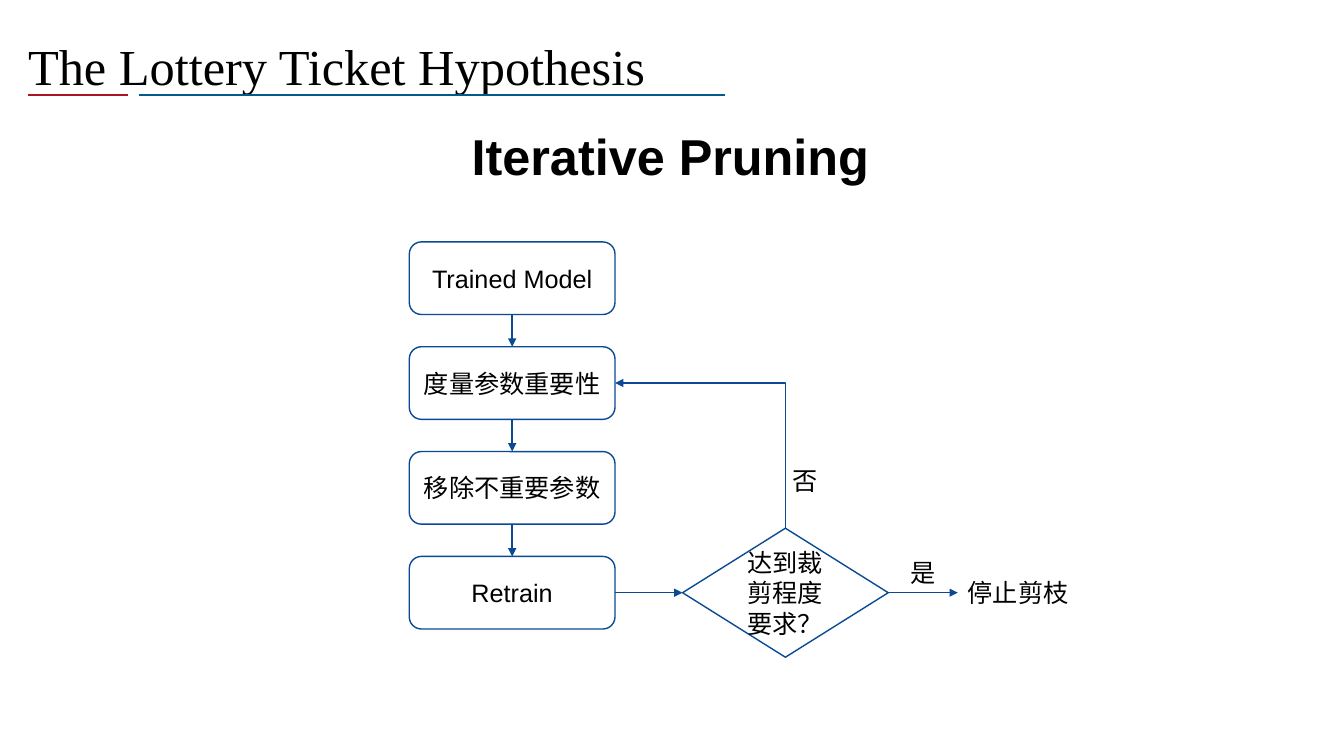
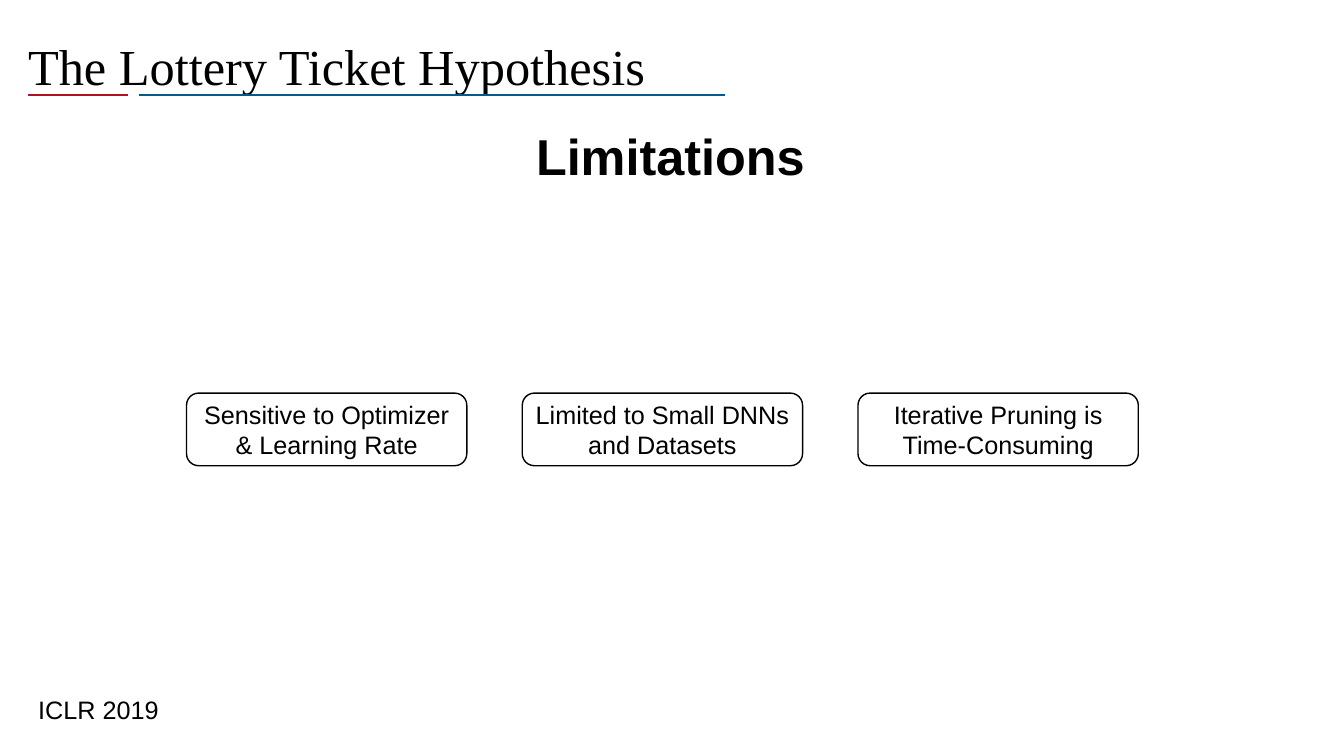
from dataclasses import dataclass

from lxml import etree
from pptx import Presentation
from pptx import util as u
from pptx.dml import color
from pptx.enum import shapes, text
from pptx.oxml import ns

BLACK = "000000"
WHITE = "FFFFFF"
RED = "AE1324"
BLUE = "045A88"
NAVY = "0C4994"
SERIF = "Times New Roman"
SANS = "Arial"
LEFT = text.PP_ALIGN.LEFT
CENTER = text.PP_ALIGN.CENTER
TOP = text.MSO_ANCHOR.TOP
MIDDLE = text.MSO_ANCHOR.MIDDLE
ROUND = shapes.MSO_SHAPE.ROUNDED_RECTANGLE
DIAMOND = shapes.MSO_SHAPE.DIAMOND
LINE = shapes.MSO_CONNECTOR.STRAIGHT
ELBOW = shapes.MSO_CONNECTOR.ELBOW


@dataclass(frozen=True)
class Area:
    x: float
    y: float
    w: float
    h: float

    def lengths(self) -> list:
        return [u.Inches(v) for v in (self.x, self.y, self.w, self.h)]

    def side(self, index: int) -> tuple:
        mid, half = self.x + self.w / 2, self.y + self.h / 2
        return ((mid, self.y), (self.x, half),
                (mid, self.y + self.h), (self.x + self.w, half))[index]


@dataclass(frozen=True)
class Node:
    area: Area
    shape: object


@dataclass(frozen=True)
class Rule:
    start: float
    end: float
    tint: str


RULES = (Rule(0.28, 1.27, RED), Rule(1.38, 7.19, BLUE))
STEPS = ("Trained Model", "度量参数重要性", "移除不重要参数", "Retrain")
LIMITS = ("Sensitive to Optimizer & Learning Rate",
          "Limited to Small DNNs and Datasets",
          "Iterative Pruning is Time-Consuming")


def rgb(tint: str) -> color.RGBColor:
    return color.RGBColor.from_string(tint)


def write(shape, words: str, *, size=18, font=SANS, bold=False, align=LEFT,
          anchor=TOP, wrap=True, spacing=1.0, inset=None) -> None:
    frame = shape.text_frame
    frame.word_wrap = wrap
    frame.vertical_anchor = anchor
    if inset is not None:
        frame.margin_left = frame.margin_right = u.Inches(inset)
        frame.margin_top = frame.margin_bottom = u.Inches(inset)
    para = frame.paragraphs[0]
    para.alignment = align
    para.line_spacing = spacing
    run = para.add_run()
    run.text = words
    run.font.size = u.Pt(size)
    run.font.name = font
    run.font.bold = bold
    run.font.color.rgb = rgb(BLACK)


def label(slide, words: str, area: Area, **style) -> Node:
    shape = slide.shapes.add_textbox(*area.lengths())
    write(shape, words, **style)
    return Node(area, shape)


def box(slide, words: str, area: Area, tint: str, kind=ROUND) -> Node:
    shape = slide.shapes.add_shape(kind, *area.lengths())
    shape.shadow.inherit = False
    shape.fill.solid()
    shape.fill.fore_color.rgb = rgb(WHITE)
    shape.line.color.rgb = rgb(tint)
    shape.line.width = u.Pt(1)
    write(shape, words, align=CENTER, anchor=MIDDLE, inset=0.05)
    return Node(area, shape)


def stroke(slide, start: tuple, end: tuple, tint: str, width: float,
           kind=LINE, tip=None):
    line = slide.shapes.add_connector(
        kind, *[u.Inches(v) for v in (*start, *end)])
    line.line.color.rgb = rgb(tint)
    line.line.width = u.Pt(width)
    props = line.element.spPr
    if tip:
        outline = props.find(ns.qn("a:ln"))
        etree.SubElement(outline, ns.qn("a:" + tip), type="triangle")
    etree.SubElement(props, ns.qn("a:effectLst"))
    return line


def join(slide, first: Node, out: int, last: Node, into: int,
         kind=LINE, tip="tailEnd"):
    line = stroke(slide, first.area.side(out), last.area.side(into),
                  NAVY, 1, kind, tip)
    line.begin_connect(first.shape, out)
    line.end_connect(last.shape, into)
    return line


def page(deck, heading: str):
    slide = deck.slides.add_slide(deck.slide_layouts[6])
    label(slide, "The Lottery Ticket Hypothesis", Area(0.18, -0.04, 11.5, 1.45),
          size=36, font=SERIF, anchor=MIDDLE, spacing=0.9)
    for rule in RULES:
        stroke(slide, (rule.start, 0.94), (rule.end, 0.94), rule.tint, 1.5)
    label(slide, heading, Area(0.65, 1.19, 12, 0.71),
          size=36, bold=True, align=CENTER)
    return slide


def pruning(deck) -> None:
    slide = page(deck, "Iterative Pruning")
    steps = [box(slide, words, Area(4.06, 2.4 + 1.04 * i, 2.04, 0.72), NAVY)
             for i, words in enumerate(STEPS)]
    test = box(slide, "达到裁剪程度要求？", Area(6.77, 5.24, 2.04, 1.28),
               NAVY, DIAMOND)
    stop = label(slide, "停止剪枝", Area(9.5, 5.68, 1.21, 0.4), wrap=False)
    for above, below in zip(steps, steps[1:]):
        join(slide, above, 2, below, 0)
    join(slide, steps[-1], 3, test, 1)
    join(slide, test, 3, stop, 1)
    loop = join(slide, steps[1], 3, test, 0, ELBOW, "headEnd")
    loop.element.spPr.find(ns.qn("a:prstGeom")).set("prst", "bentConnector2")
    label(slide, "是", Area(8.93, 5.48, 0.45, 0.4), wrap=False)
    label(slide, "否", Area(7.76, 4.57, 0.45, 0.4), wrap=False)


def limits(deck) -> None:
    slide = page(deck, "Limitations")
    label(slide, "ICLR 2019", Area(0.28, 6.84, 1.41, 0.4), wrap=False)
    for i, words in enumerate(LIMITS):
        box(slide, words, Area(1.85 + 3.33 * i, 3.9, 2.78, 0.72), BLACK)


def main() -> None:
    deck = Presentation()
    deck.slide_width = u.Inches(13.33)
    deck.slide_height = u.Inches(7.5)
    pruning(deck)
    limits(deck)
    deck.save("out.pptx")


if __name__ == "__main__":
    main()
